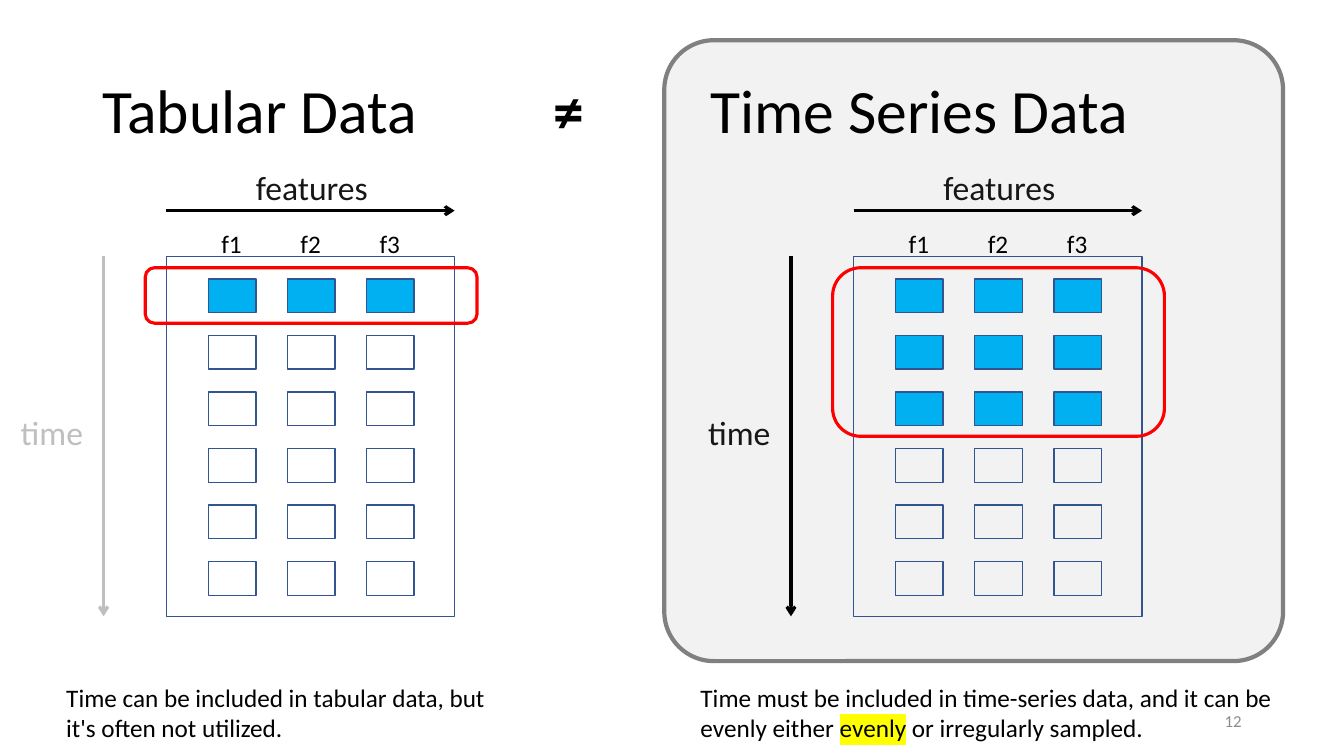
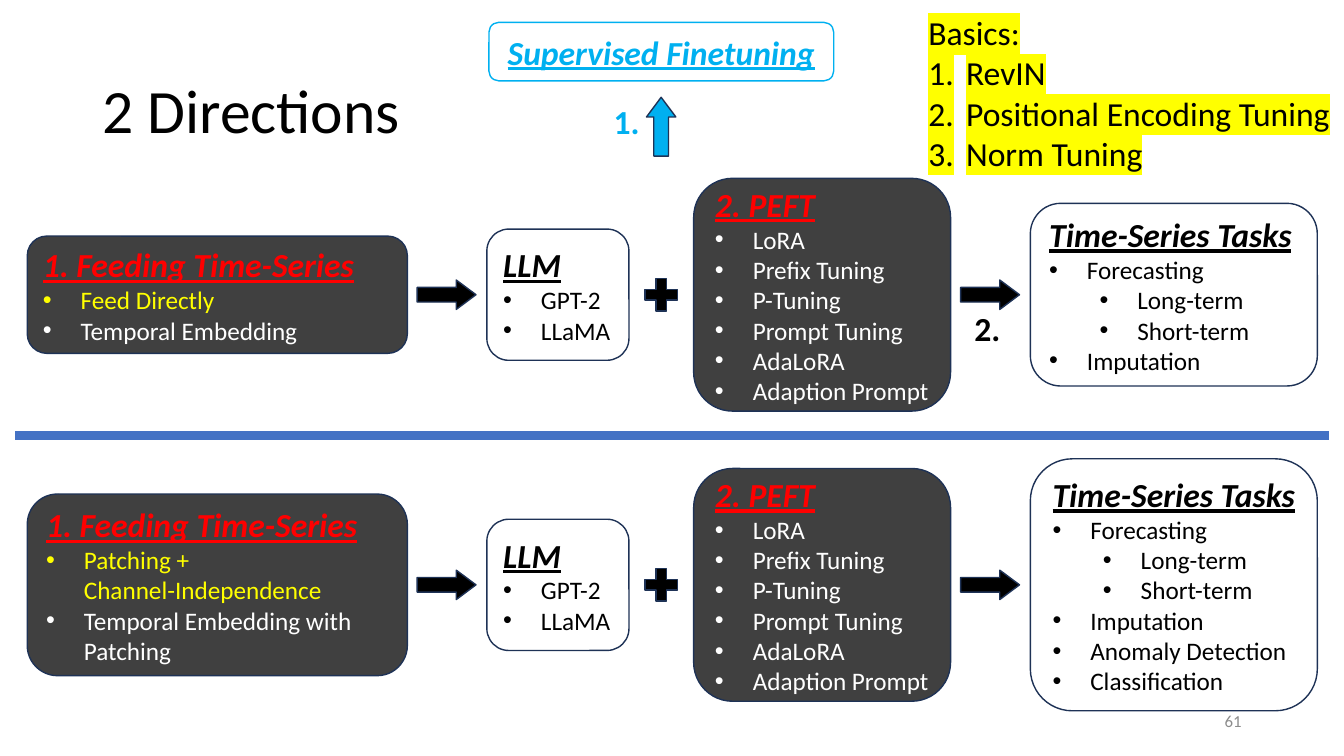
from dataclasses import dataclass
from typing import Optional

import pptx
import pptx.dml.color
import pptx.enum.shapes
import pptx.enum.text
import pptx.oxml
import pptx.oxml.ns
import pptx.util
from lxml import etree

Pt = pptx.util.Pt
qn = pptx.oxml.ns.qn
SHAPE = pptx.enum.shapes.MSO_SHAPE
ALIGN = pptx.enum.text.PP_ALIGN
ANCHOR = pptx.enum.text.MSO_ANCHOR


@dataclass(frozen=True)
class Theme:
    font: str = "Calibri"
    title: int = 44
    heading: int = 24
    body: int = 18
    footer: int = 12
    black: str = "000000"
    white: str = "FFFFFF"
    label: str = "181717"
    muted: str = "BFBFBF"
    page: str = "8C8C8C"
    panel: str = "F2F2F2"
    panel_edge: str = "808080"
    dark: str = "404040"
    cell_edge: str = "325491"
    box_edge: str = "1E3256"
    divider: str = "4472C4"
    sky: str = "00B0F0"
    red: str = "FF0000"
    yellow: str = "FFFF00"


THEME = Theme()


@dataclass
class Run:
    text: str
    size: int = THEME.body
    color: str = THEME.black
    bold: bool = False
    emphasis: bool = False
    highlight: Optional[str] = None


@dataclass
class Para:
    runs: list
    bullet: Optional[str] = None
    level: int = 0
    align: ALIGN = ALIGN.LEFT
    spacing: Optional[float] = None
    tabs: tuple = ()


def rgb(value):
    return pptx.dml.color.RGBColor.from_string(value)


def add_run(paragraph, part):
    for index, line in enumerate(part.text.split("\n")):
        if index:
            paragraph.add_line_break()
        run = paragraph.add_run()
        run.text = line
        font = run.font
        font.size = Pt(part.size)
        font.bold = part.bold or part.emphasis
        font.italic = font.underline = part.emphasis
        font.color.rgb = rgb(part.color)
        if part.highlight:
            highlight = etree.SubElement(run._r.get_or_add_rPr(), qn("a:highlight"))
            etree.SubElement(highlight, qn("a:srgbClr"), val=part.highlight)
        font.name = THEME.font


def set_bullet(properties, bullet, level):
    properties.set("marL", str(Pt(27 + 36 * level)))
    properties.set("indent", str(Pt(-27)))
    if bullet == "number":
        etree.SubElement(properties, qn("a:buFont"), typeface="+mj-lt")
        etree.SubElement(properties, qn("a:buAutoNum"), type="arabicPeriod")
    else:
        etree.SubElement(properties, qn("a:buFont"), typeface="Arial")
        etree.SubElement(properties, qn("a:buChar"), char=bullet)


def write(frame, paras, anchor, wrap=True):
    frame.word_wrap = wrap
    frame.vertical_anchor = anchor
    for index, para in enumerate(paras):
        paragraph = frame.add_paragraph() if index else frame.paragraphs[0]
        properties = paragraph._p.get_or_add_pPr()
        if para.bullet:
            set_bullet(properties, para.bullet, para.level)
        if para.tabs:
            stops = etree.SubElement(properties, qn("a:tabLst"))
            for stop in para.tabs:
                etree.SubElement(stops, qn("a:tab"), pos=str(Pt(stop)), algn="l")
        paragraph.level = para.level
        paragraph.alignment = para.align
        if para.spacing:
            paragraph.line_spacing = para.spacing
        for part in para.runs:
            add_run(paragraph, part)


def add_text(shapes, box, paras, anchor=ANCHOR.TOP, wrap=True):
    label = shapes.add_textbox(*map(Pt, box))
    write(label.text_frame, paras, anchor, wrap)


def add_block(shapes, kind, box, edge, fill=None, weight=1, paras=()):
    block = shapes.add_shape(kind, *map(Pt, box))
    block.shadow.inherit = False
    if fill:
        block.fill.solid()
        block.fill.fore_color.rgb = rgb(fill)
    else:
        block.fill.background()
    block.line.color.rgb = rgb(edge)
    block.line.width = Pt(weight)
    if paras:
        write(block.text_frame, paras, ANCHOR.MIDDLE)
    return block


def add_line(shapes, start, end, color, weight, arrow=False):
    line = shapes.add_connector(
        pptx.enum.shapes.MSO_CONNECTOR.STRAIGHT, *map(Pt, start + end))
    line.line.color.rgb = rgb(color)
    line.line.width = Pt(weight)
    if arrow:
        etree.SubElement(line.line._get_or_add_ln(), qn("a:tailEnd"), type="arrow")
    etree.SubElement(line._element.spPr, qn("a:effectLst"))


def add_block_arrow(shapes, left, middle, fill=THEME.black):
    arrow = add_block(shapes, SHAPE.RIGHT_ARROW, (left, middle - 10.5, 42, 21),
                      THEME.box_edge, fill)
    arrow.adjustments[0] = 0.5
    arrow.adjustments[1] = 0.67
    return arrow


def add_title(slide, runs, tabs=()):
    add_text(slide.shapes, (66, 28.75, 828, 104.4),
             [Para(runs, spacing=0.9, tabs=tabs)], ANCHOR.MIDDLE)


def add_page_number(slide, number):
    add_text(slide.shapes, (678, 500.5, 216, 28.75),
             [Para([Run(number, THEME.footer, THEME.page)], align=ALIGN.RIGHT)],
             ANCHOR.MIDDLE)


def add_data_grid(slide, left, selected_rows, time_color):
    shapes = slide.shapes.add_group_shape().shapes
    top, width, height = 183, 206, 257.25
    column_step, row_step = 56.5, 40.4
    add_block(shapes, SHAPE.RECTANGLE, (left, top, width, height), THEME.cell_edge)
    for row in range(6):
        for column in range(3):
            cell = (left + 30 + column * column_step, top + 16.25 + row * row_step, 34, 24)
            add_block(shapes, SHAPE.RECTANGLE, cell, THEME.cell_edge,
                      THEME.sky if row < selected_rows else None)
    for column in range(3):
        add_text(shapes, (left + 32.25 + column * column_step, 159.75, 34, 19.5),
                 [Para([Run(f"f{column + 1}")])])
    add_block(shapes, SHAPE.ROUNDED_RECTANGLE,
              (left - 15, top + 8.25, 237, 39.6 + (selected_rows - 1) * row_step),
              THEME.red, weight=2.25)
    add_text(shapes, (left - 111, 291, 64, 36),
             [Para([Run("time", THEME.heading, time_color)])])
    add_text(shapes, (left + 57, 116, 105, 36),
             [Para([Run("features", THEME.heading, THEME.label)])])
    add_line(shapes, (left, 150.5), (left + width, 150.5), THEME.black, 2.25, True)
    add_line(shapes, (left - 44.75, top), (left - 44.75, top + height),
             THEME.black if time_color == THEME.label else time_color, 2.25, True)


def item(text, color=THEME.black, level=0):
    return Para([Run(text, color=color)], "•", level)


def add_stage(slide, left, middle, width, height, heading, items, dark=False):
    heading_run = Run(heading, THEME.heading, THEME.red if dark else THEME.black,
                      emphasis=True)
    add_block(slide.shapes, SHAPE.ROUNDED_RECTANGLE,
              (left, middle - height / 2, width, height), THEME.box_edge,
              THEME.dark if dark else None, paras=[Para([heading_run])] + items)


def add_pipeline(slide, middle, feeding, feeding_height, extra_tasks, tasks_height):
    methods = ("LoRA", "Prefix Tuning", "P-Tuning", "Prompt Tuning", "AdaLoRA",
               "Adaption Prompt")
    tasks = [item("Forecasting"), item("Long-term", level=1),
             item("Short-term", level=1), item("Imputation")]
    direct, embedded = feeding
    add_stage(slide, 19.5, middle, 271.5, feeding_height, "1. Feeding Time-Series",
              [item(direct, THEME.yellow), item(embedded, THEME.white)], True)
    add_block_arrow(slide.shapes, 298, middle)
    add_stage(slide, 347.75, middle, 101.5, 93.75, "LLM", [item("GPT-2"), item("LLaMA")])
    add_block(slide.shapes, SHAPE.MATH_PLUS, (456.5, middle - 15.75, 31.5, 31.5),
              THEME.box_edge, THEME.black)
    add_stage(slide, 495.5, middle, 183.5, 166.25, "2. PEFT",
              [item(method, THEME.white) for method in methods], True)
    add_block_arrow(slide.shapes, 686.25, middle)
    add_stage(slide, 736, middle, 205, tasks_height, "Time-Series Tasks",
              tasks + [item(task) for task in extra_tasks])


def add_step_number(shapes, left, top, text, color):
    add_text(shapes, (left, top, 33, 36),
             [Para([Run(text, THEME.heading, color, bold=True)])], wrap=False)


def build_comparison(slide):
    frame = add_block(slide.shapes, SHAPE.ROUNDED_RECTANGLE, (474.5, 28.75, 442, 443.5),
                      THEME.panel_edge, THEME.panel, 3)
    frame.adjustments[0] = 0.08
    add_title(slide, [Run("Tabular Data\t", THEME.title),
                      Run("≠", THEME.title, bold=True),
                      Run("\tTime Series Data", THEME.title)], (322, 434.5))
    add_data_grid(slide, 609.75, 3, THEME.label)
    add_page_number(slide, "12")
    add_data_grid(slide, 118.75, 1, THEME.muted)
    add_text(slide.shapes, (493.25, 484, 423, 51), [Para([
        Run("Time must be included in time-series data, and it can be evenly either "),
        Run("evenly", highlight=THEME.yellow),
        Run(" or irregularly sampled.")])])
    add_text(slide.shapes, (40.25, 484, 329, 51), [Para([
        Run("Time can be included in tabular data, but it's often not utilized.")])])


def build_directions(slide):
    add_title(slide, [Run("2 Directions", THEME.title)])
    add_page_number(slide, "61")
    add_pipeline(slide, 210.5, ("Feed Directly", "Temporal Embedding"), 83.75, (), 130.5)
    add_pipeline(slide, 417.75,
                 ("Patching +\nChannel-Independence", "Temporal Embedding with Patching"),
                 129.75, ("Anomaly Detection", "Classification"), 180)
    add_step_number(slide.shapes, 689, 216.75, "2.", THEME.black)

    def basic(text, bullet=None):
        return Para([Run(text, THEME.heading, highlight=THEME.yellow)], bullet)

    basics = [basic(name, "number")
              for name in ("RevIN", "Positional Encoding Tuning", "Norm Tuning")]
    add_text(slide.shapes, (656, 5, 304, 124), [basic("Basics:")] + basics, wrap=False)
    add_line(slide.shapes, (10.75, 311), (949, 311), THEME.divider, 6)
    finetuning = slide.shapes.add_group_shape().shapes
    add_block(finetuning, SHAPE.ROUNDED_RECTANGLE, (349.25, 16, 246.25, 41.75), THEME.sky,
              paras=[Para([Run("Supervised Finetuning", THEME.heading, THEME.sky,
                               emphasis=True)], align=ALIGN.CENTER)])
    add_block_arrow(finetuning, 451.25, 90.5, THEME.sky).rotation = 270
    add_step_number(finetuning, 431.25, 68.5, "1.", THEME.sky)


def main():
    deck = pptx.Presentation()
    deck.slide_width, deck.slide_height = Pt(960), Pt(540)
    for build in (build_comparison, build_directions):
        build(deck.slides.add_slide(deck.slide_layouts[6]))
    deck.save("out.pptx")


if __name__ == "__main__":
    main()
